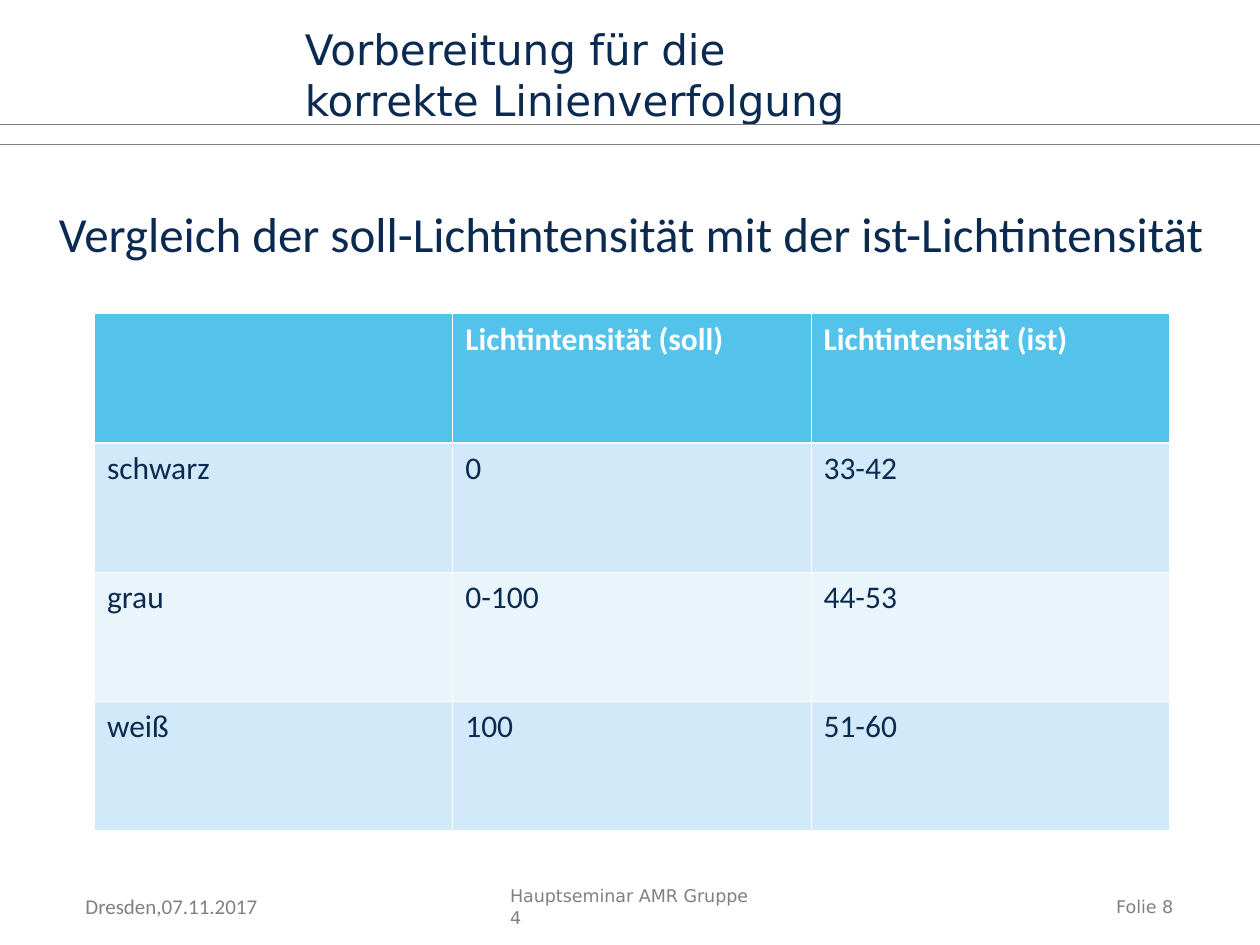
"""Build a slide comparing target and measured light intensity in a table."""
from lxml.etree import SubElement
from pptx import Presentation
from pptx.dml.color import RGBColor
from pptx.enum.text import MSO_ANCHOR, MSO_AUTO_SIZE, PP_ALIGN
from pptx.oxml.ns import qn
from pptx.util import Inches, Pt

COLORS = {"navy": "0B2A51", "gray": "808080", "white": "FFFFFF",
          "header": "54C3EC", "odd": "D1E9F8", "even": "E9F5FB"}
WIDTH, HEIGHT = 10, 7.5
TITLE = "Vorbereitung für die korrekte Linienverfolgung"
HEADING = "Vergleich der soll-Lichtintensität mit der ist-Lichtintensität"
ROWS = [
    ("", "Lichtintensität (soll)", "Lichtintensität (ist)"),
    ("schwarz", "0", "33-42"),
    ("grau", "0-100", "44-53"),
    ("weiß", "100", "51-60"),
]
TEXT_BOXES = [
    (HEADING, (0.37, 1.57, 9.36, 0.57), dict(size=28, color="navy"), False),
    ("Dresden,07.11.2017", (0.58, 7.04, 1.57, 0.3), dict(size=12), False),
    ("Hauptseminar AMR Gruppe 4", (3.95, 7.06, 2.11, 0.27),
     dict(size=10, font="DejaVu Sans", anchor=MSO_ANCHOR.MIDDLE), True),
    ("Folie 8", (7.52, 7.06, 1.89, 0.29),
     dict(size=10, font="DejaVu Sans", align=PP_ALIGN.RIGHT), True),
]
RULE_HEIGHTS = (0.99, 1.15)
TABLE_BOX = (0.75, 2.49, 8.53, 4.1)
THIN, THICK = 0.45, 1.47


def rgb(name):
    return RGBColor.from_string(COLORS[name])


def write(frame, text, size, font="Calibri", color="gray", bold=False,
          align=PP_ALIGN.LEFT, anchor=MSO_ANCHOR.TOP):
    frame.vertical_anchor = anchor
    para = frame.paragraphs[0]
    para.alignment = align
    span = para.add_run()
    span.text = text
    span.font.size, span.font.name, span.font.bold = Pt(size), font, bold
    span.font.color.rgb = rgb(color)


def add_rule(page, top):
    rule = page.shapes.add_connector(1, 0, Inches(top), Inches(WIDTH), Inches(top))
    rule.line.color.rgb = rgb("gray")
    rule.line.width = Pt(0.5)
    SubElement(rule._element.spPr, qn("a:effectLst"))


def set_borders(cell, widths):
    properties = cell._tc.get_or_add_tcPr()
    for index, (side, width) in enumerate(widths.items()):
        border = properties.makeelement(qn(f"a:ln{side}"), {"w": str(Pt(width))})
        fill = SubElement(border, qn("a:solidFill"))
        SubElement(fill, qn("a:srgbClr"), val=COLORS["white"])
        properties.insert(index, border)


def add_title(page):
    title = page.shapes.title
    title.left, title.top = Inches(2.32), Inches(0.52)
    title.width, title.height = Inches(4.96), Inches(0.53)
    frame = title.text_frame
    frame.word_wrap = True
    frame.auto_size = MSO_AUTO_SIZE.NONE
    frame.margin_top, frame.margin_bottom = 0, Inches(0.39)
    write(frame, TITLE, 24, font="DejaVu Sans", color="navy",
          anchor=MSO_ANCHOR.MIDDLE)


def add_table(page):
    table = page.shapes.add_table(len(ROWS), len(ROWS[0]),
                                  *map(Inches, TABLE_BOX)).table
    for row, texts in enumerate(ROWS):
        header = row == 0
        shade = "header" if header else "odd" if row % 2 else "even"
        for column, text in enumerate(texts):
            cell = table.cell(row, column)
            cell.fill.solid()
            cell.fill.fore_color.rgb = rgb(shade)
            set_borders(cell, {"L": THIN, "R": THIN,
                               "T": THICK if row == 1 else THIN,
                               "B": THICK if header else THIN})
            if text:
                write(cell.text_frame, text, 18, bold=header,
                      color="white" if header else "navy")


def main():
    deck = Presentation()
    deck.slide_width, deck.slide_height = Inches(WIDTH), Inches(HEIGHT)
    page = deck.slides.add_slide(deck.slide_layouts[5])
    for top in RULE_HEIGHTS:
        add_rule(page, top)
    add_title(page)
    add_table(page)
    for text, place, style, wrap in TEXT_BOXES:
        frame = page.shapes.add_textbox(*map(Inches, place)).text_frame
        frame.word_wrap = wrap
        write(frame, text, **style)
    deck.save("out.pptx")


if __name__ == "__main__":
    main()
